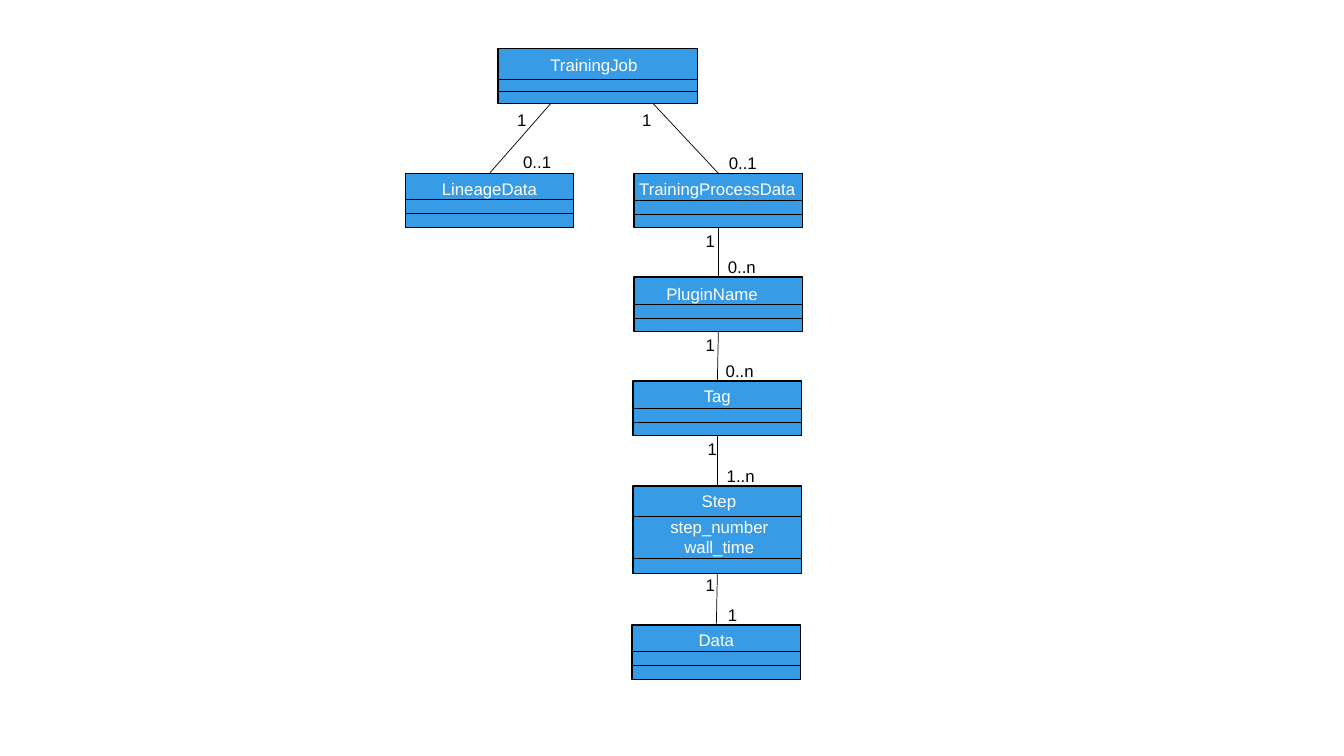
"""Builds a class diagram of a training job and the data it holds."""
from lxml import etree
from pptx import Presentation
from pptx import util as u
from pptx.dml.color import RGBColor
from pptx.enum import shapes, text
from pptx.oxml.ns import qn

PX = u.Inches(1) // 100
BOX_WIDTH, BOX_HEIGHT, LABEL_HEIGHT = 167, 54, 30
LEFT, CENTER = text.PP_ALIGN.LEFT, text.PP_ALIGN.CENTER
BOTTOM_SIDE, TOP_SIDE = 2, 0

presentation = Presentation()
presentation.slide_width = 1333 * PX
presentation.slide_height = 750 * PX
slide = presentation.slides.add_slide(presentation.slide_layouts[6])


def add_text(content, left, top, width, height=LABEL_HEIGHT, color="000000", align=LEFT):
    shape = slide.shapes.add_textbox(left * PX, top * PX, width * PX, height * PX)
    frame = shape.text_frame
    frame.word_wrap = True
    frame.auto_size = text.MSO_AUTO_SIZE.SHAPE_TO_FIT_TEXT
    frame.text = content
    for paragraph in frame.paragraphs:
        paragraph.alignment = align
        paragraph.font.name = "Arial"
        paragraph.font.size = u.Pt(12)
        paragraph.font.color.rgb = RGBColor.from_string(color)


def add_line(x1, y1, x2, y2):
    line = slide.shapes.add_connector(
        shapes.MSO_CONNECTOR.STRAIGHT, x1 * PX, y1 * PX, x2 * PX, y2 * PX)
    line.line.width = u.Pt(0.5)
    line.line.color.rgb = RGBColor.from_string("000000")
    etree.SubElement(line._element.spPr, qn("a:effectLst"))
    return line


classes = [
    ("TrainingJob", 494, 48, 198, 55, (31, 43), (536, 49, 112, LEFT)),
    ("LineageData", 402, 172, BOX_WIDTH, BOX_HEIGHT, (26, 40), (410, 172, 151, CENTER)),
    ("TrainingProcessData", 629, 172, BOX_WIDTH, BOX_HEIGHT, (27, 41), (621, 172, 181, CENTER)),
    ("PluginName", 629, 275, BOX_WIDTH, BOX_HEIGHT, (27, 41), (651, 277, 121, LEFT)),
    ("Tag", 628, 378, BOX_WIDTH, BOX_HEIGHT, (27, 41), (636, 378, 151, CENTER)),
    ("Step", 628, 482, BOX_WIDTH, 87, (30, 72), (669, 482, 88, CENTER)),
    ("Data", 627, 620, BOX_WIDTH, BOX_HEIGHT, (26, 40), (635, 620, 151, CENTER)),
]
boxes = {}
for name, left, top, width, height, dividers, title in classes:
    shape = slide.shapes.add_shape(
        shapes.MSO_SHAPE.RECTANGLE, left * PX, top * PX, width * PX, height * PX)
    shape.shadow.inherit = False
    shape.fill.solid()
    shape.fill.fore_color.rgb = RGBColor.from_string("379BE6")
    shape.line.color.rgb = RGBColor.from_string("000000")
    shape.line.width = u.Pt(1)
    boxes[name] = shape
    for offset in dividers:
        add_line(left, top + offset, left + width, top + offset)
    title_left, title_top, title_width, align = title
    add_text(name, title_left, title_top, title_width, color="FFFFFF", align=align)
add_text("step_number\nwall_time", 640, 508, 147, 50, color="FFFFFF", align=CENTER)

for child, start_x in [("LineageData", 546), ("TrainingProcessData", 648)]:
    add_line(start_x, 103, start_x, 172).end_connect(boxes[child], TOP_SIDE)

chain = ["TrainingProcessData", "PluginName", "Tag", "Step", "Data"]
for parent, child in zip(chain, chain[1:]):
    line = add_line(712, 226, 712, 275)
    line.begin_connect(boxes[parent], BOTTOM_SIDE)
    line.end_connect(boxes[child], TOP_SIDE)

multiplicities = [
    ("1", 503, 104, 25), ("0..1", 509, 146, 59),
    ("1", 627, 104, 30), ("0..1", 713, 147, 59),
    ("1", 690, 224, 25), ("0..n", 712, 250, 64),
    ("1", 690, 327, 25), ("0..n", 710, 353, 64),
    ("1", 692, 430, 25), ("1..n", 711, 457, 64),
    ("1", 690, 565, 25), ("1", 712, 595, 25),
]
for multiplicity, left, top, width in multiplicities:
    add_text(multiplicity, left, top, width)

presentation.save("out.pptx")
